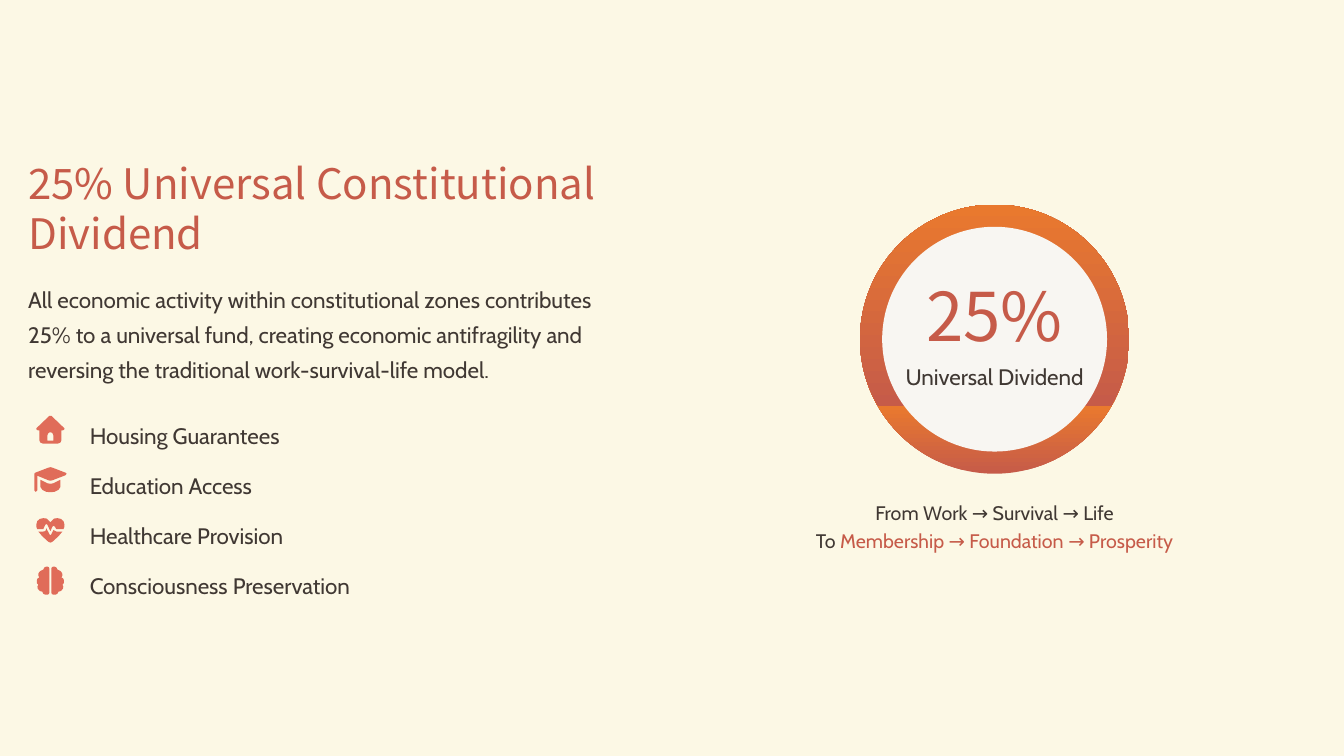
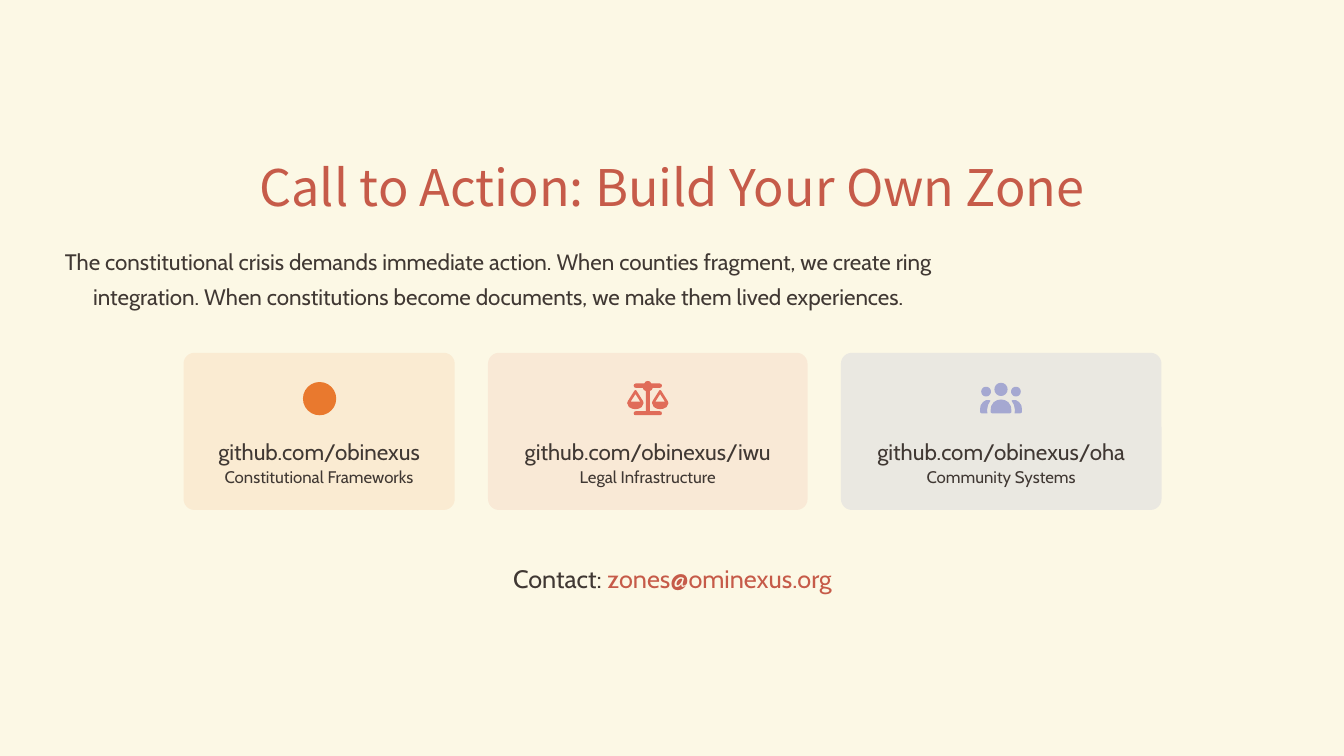
from math import cos, sin, pi
from copy import deepcopy
from lxml import etree
from pptx import Presentation
from pptx.dml.color import RGBColor
from pptx.enum.shapes import MSO_SHAPE as Geo
from pptx.enum.text import MSO_ANCHOR as Anchor, MSO_AUTO_SIZE as Fit, PP_ALIGN as Align
from pptx.oxml.ns import qn
from pptx.util import Inches, Pt

COLORS = {"page": "FCF8E5", "title": "C65B49", "text": "403833", "coral": "E06C59",
          "orange": "E9792E", "lilac": "A5A8D1", "disc": "F8F6F2"}
HEAD, BODY = "Noto Sans CJK SC", "Cabin"


def rgb(name):
    return RGBColor.from_string(COLORS[name])


def place(shape, x, y, w, h):
    shape.left, shape.top, shape.width, shape.height = map(Inches, (x, y, w, h))


# Text: each paragraph is a list of (words, colour) runs
def write(shape, paras, size, font=BODY, align=Align.LEFT, line=1.3, gap=0):
    frame = shape.text_frame
    frame.auto_size = Fit.NONE
    frame.word_wrap = True
    frame.vertical_anchor = Anchor.MIDDLE
    frame.margin_left = frame.margin_right = frame.margin_top = frame.margin_bottom = 0
    for i, runs in enumerate(paras):
        para = frame.add_paragraph() if i else frame.paragraphs[0]
        props = para._p.get_or_add_pPr()
        props.set("marL", "0")
        props.set("indent", "0")
        etree.SubElement(props, qn("a:buNone"))
        para.alignment, para.line_spacing = align, line
        para.space_before = Pt(gap if i else 0)
        for words, color in runs:
            run = para.add_run()
            run.text = words
            run.font.name, run.font.size = font, Pt(size)
            run.font.color.rgb = rgb(color)


def label(slide, box, paras, size, **style):
    shape = slide.shapes.add_textbox(*map(Inches, box))
    write(shape, paras, size, align=Align.CENTER, **style)


def holder(slide, index, box, paras, size, **style):
    shape = slide.placeholders[index]
    place(shape, *box)
    write(shape, paras, size, **style)


# Shapes
def paint(shape, color, alpha=None):
    shape.shadow.inherit = False
    shape.line.fill.background()
    shape.fill.solid()
    shape.fill.fore_color.rgb = rgb(color)
    if alpha:
        tint = shape.fill._xPr.find(".//" + qn("a:srgbClr"))
        etree.SubElement(tint, qn("a:alpha"), val=str(alpha * 1000))


def block(slide, geo, box, color, alpha=None):
    shape = slide.shapes.add_shape(geo, *map(Inches, box))
    paint(shape, color, alpha)
    return shape


# Icon outlines, in hundredths of an inch
def flip(points, width):
    return [(width - x, y) for x, y in reversed(points)]


def sym(half, width):
    return half + flip(half, width)


def dot(x, y, r, n=32):
    return [(x + r * cos(2 * pi * i / n), y + r * sin(2 * pi * i / n)) for i in range(n)]


def pair(part, width):
    return [part, flip(part, width)]


HOUSE = [
    sym([(13, 0.5), (1, 12), (0, 13), (0.5, 14.5), (2, 15), (3, 15), (3, 24.5),
         (4, 27), (6.5, 28)], 28),
    sym([(11, 25), (11, 20), (11.7, 18), (13, 17)], 28)]
CAP = [
    [(0, 8), (1, 7), (14, 2), (16, 1.5), (18, 2), (31, 7), (32, 8), (31, 9.5), (18, 14.5),
     (16, 15), (14, 14.5), (3, 10), (3, 24.5), (1.5, 26), (0, 24.5)],
    sym([(16, 18), (13, 17.5), (6, 14), (6, 21), (8, 24), (12, 26), (16, 26.3)], 32)]
HEART = [
    [(14, 6), (13, 5), (10.5, 2.5), (7, 2), (3.5, 2.8), (1, 5), (0, 8.5), (0.2, 11), (1, 13),
     (6.5, 13), (7, 12.8), (9, 8.5), (10, 7.8), (11, 8.5), (14, 15), (16, 10.5), (17, 9.5),
     (18.5, 10.5), (20, 13), (27, 13), (27.8, 11), (28, 8.5), (27, 5), (24.5, 2.8), (21, 2),
     (17.5, 2.5), (15, 5)],
    [(26, 15.3), (20, 15.3), (18.3, 14.5), (17, 13.8), (15, 18), (14, 19), (13, 18), (10, 12),
     (9.5, 14), (8.5, 15), (7, 15.3), (2, 15.3), (6, 20), (12, 25.5), (14, 26.3), (16, 25.5),
     (22, 20)]]
BRAIN = pair(
    [(7, 3), (8, 1), (10, 0), (11, 0), (12.5, 0.7), (13, 2), (13, 26), (12.5, 27.3), (11, 28),
     (9, 28), (7, 27), (6, 25), (3.5, 24.3), (1.5, 22), (1.2, 20), (2, 18), (0.6, 16.5),
     (0.5, 14), (1.2, 12), (3, 10.8), (2, 9), (2.3, 6.5), (4, 4.5)], 28)
SCALES = [
    sym([(21, 0), (19, 0.5), (17.5, 2.5), (9, 2.5), (7.4, 3.2), (7, 4.7), (7.5, 6.2), (9, 6.8),
         (16, 6.8), (17, 8.8), (19, 10), (19, 30), (9, 30), (7.4, 30.6), (7, 32), (7.5, 33.5),
         (9, 34)], 42),
    *pair([(8.8, 9), (9.7, 9.5), (16.3, 20), (16.8, 22), (15, 25.8), (12, 27.5), (8.8, 28),
           (5.5, 27.5), (2.3, 25.8), (0.5, 22), (1.2, 20), (7.8, 9.5)], 42),
    *pair([(8.8, 13), (4, 20.5), (13.5, 20.5)], 42)]
PEOPLE = [
    dot(20.8, 8.3, 6.5), *pair(dot(6, 10.5, 4.8), 41.6),
    sym([(20.8, 18.3), (17, 19), (13.5, 21), (11, 25), (10.4, 30), (10.8, 31.5), (12, 32)], 41.6),
    *pair([(0, 28), (0.7, 24), (3, 20.8), (6, 19), (9.5, 19), (10.3, 19.6), (8, 23.5),
           (7, 28.5), (7.3, 32), (1.5, 32), (0.2, 31.2)], 41.6)]


def icon(slide, parts, x, y, color):
    build = None
    for part in parts:
        (a, b), *rest = [(px * 100, py * 100) for px, py in part]
        if build is None:
            build = slide.shapes.build_freeform(a, b, scale=91.44)
        else:
            build.move_to(a, b)
        build.add_line_segments(rest, close=True)
    paint(build.convert_to_shape(Inches(x), Inches(y)), color)


# Left half: icons beside one list
def perks(slide, x, y, items, step=0.5):
    holder(slide, 2, (x + 0.61, y, 5.45, step * (len(items) - 1) + 0.33),
           [[(words, "text")] for words, _, _ in items], 16, gap=10.7)
    for i, (_, parts, dx) in enumerate(items):
        icon(slide, parts, x + dx, y + 0.01 + i * step, "coral")


# Right half: ring with its figure and caption
def ring(slide, x, y, size=2.67, rim=0.22):
    disc = block(slide, Geo.OVAL, (x, y, size, size), "title")
    disc.fill.gradient()
    disc.fill.gradient_angle = 90
    stops = disc.fill._fill._gradFill.find(qn("a:gsLst"))
    for stop in list(stops):
        stops.append(deepcopy(stop))
    marks = [(0, "title"), (0.25, "orange"), (0.25, "title"), (1, "orange")]
    for stop, (pos, color) in zip(disc.fill.gradient_stops, marks):
        stop.position = pos
        stop.color.rgb = rgb(color)
    inner = size - 2 * rim
    block(slide, Geo.OVAL, (x + rim, y + rim, inner, inner), "disc")
    label(slide, (x, y + 0.83, size, 0.67), [[("25%", "title")]], 48, font=HEAD, line=0.8)
    label(slide, (x, y + 1.5, size, 0.33), [[("Universal Dividend", "text")]], 16)
    label(slide, (x - 0.65, y + 2.89, size + 1.3, 0.56),
          [[("From Work → Survival → Life", "text")],
           [("To ", "text"), ("Membership → Foundation → Prosperity", "title")]], 14, line=1.2)


# Link card: tinted panel, icon, address, caption
def card(slide, x, y, w, color, alpha, parts, link, note):
    panel = block(slide, Geo.ROUNDED_RECTANGLE, (x, y, w, 1.56), color, alpha)
    panel.adjustments[0] = 0.07
    mid = x + w / 2
    if parts:
        icon(slide, parts, mid - 0.21, y + 0.28, color)
    else:
        block(slide, Geo.OVAL, (mid - 0.16, y + 0.29, 0.33, 0.33), color)
    label(slide, (x - 0.05, y + 0.78, w + 0.1, 0.33), [[(link, "text")]], 16)
    label(slide, (x - 0.05, y + 1.11, w + 0.1, 0.22), [[(note, "text")]], 12, line=1.1)


def dividend(prs):
    slide = prs.slides.add_slide(prs.slide_layouts[3])
    holder(slide, 0, (0.28, 1.56, 6.06, 1),
           [[("25% Universal Constitutional Dividend", "title")]], 30, font=HEAD, line=1.0)
    holder(slide, 1, (0.28, 2.78, 6.06, 1),
           [[("All economic activity within constitutional zones contributes 25% to a universal "
              "fund, creating economic antifragility and reversing the traditional "
              "work-survival-life model.", "text")]], 16)
    perks(slide, 0.28, 4.11, [("Housing Guarantees", HOUSE, 0.08),
                              ("Education Access", CAP, 0.06),
                              ("Healthcare Provision", HEART, 0.08),
                              ("Consciousness Preservation", BRAIN, 0.08)])
    ring(slide, 8.53, 2.03)


def action(prs):
    slide = prs.slides.add_slide(prs.slide_layouts[1])
    holder(slide, 0, (0, 1.61, 13.33, 0.56),
           [[("Call to Action: Build Your Own Zone", "title")]], 36,
           font=HEAD, align=Align.CENTER, line=0.9)
    holder(slide, 1, (0.28, 2.39, 9.33, 0.67),
           [[("The constitutional crisis demands immediate action. When counties fragment, we "
              "create ring integration. When constitutions become documents, we make them lived "
              "experiences.", "text")]], 16, align=Align.CENTER)
    x = 1.82
    for w, *rest in [
            (2.69, "orange", 10, None, "github.com/obinexus", "Constitutional Frameworks"),
            (3.17, "coral", 10, SCALES, "github.com/obinexus/iwu", "Legal Infrastructure"),
            (3.18, "lilac", 20, PEOPLE, "github.com/obinexus/oha", "Community Systems")]:
        card(slide, x, 3.5, w, *rest)
        x += w + 0.33
    label(slide, (0.28, 5.5, 12.78, 0.39),
          [[("Contact: ", "text"), ("zones@ominexus.org", "title")]], 18)


def main():
    prs = Presentation()
    prs.slide_width, prs.slide_height = Inches(13.33), Inches(7.5)
    page = prs.slide_master.background.fill
    page.solid()
    page.fore_color.rgb = rgb("page")
    dividend(prs)
    action(prs)
    prs.save("out.pptx")


if __name__ == "__main__":
    main()
